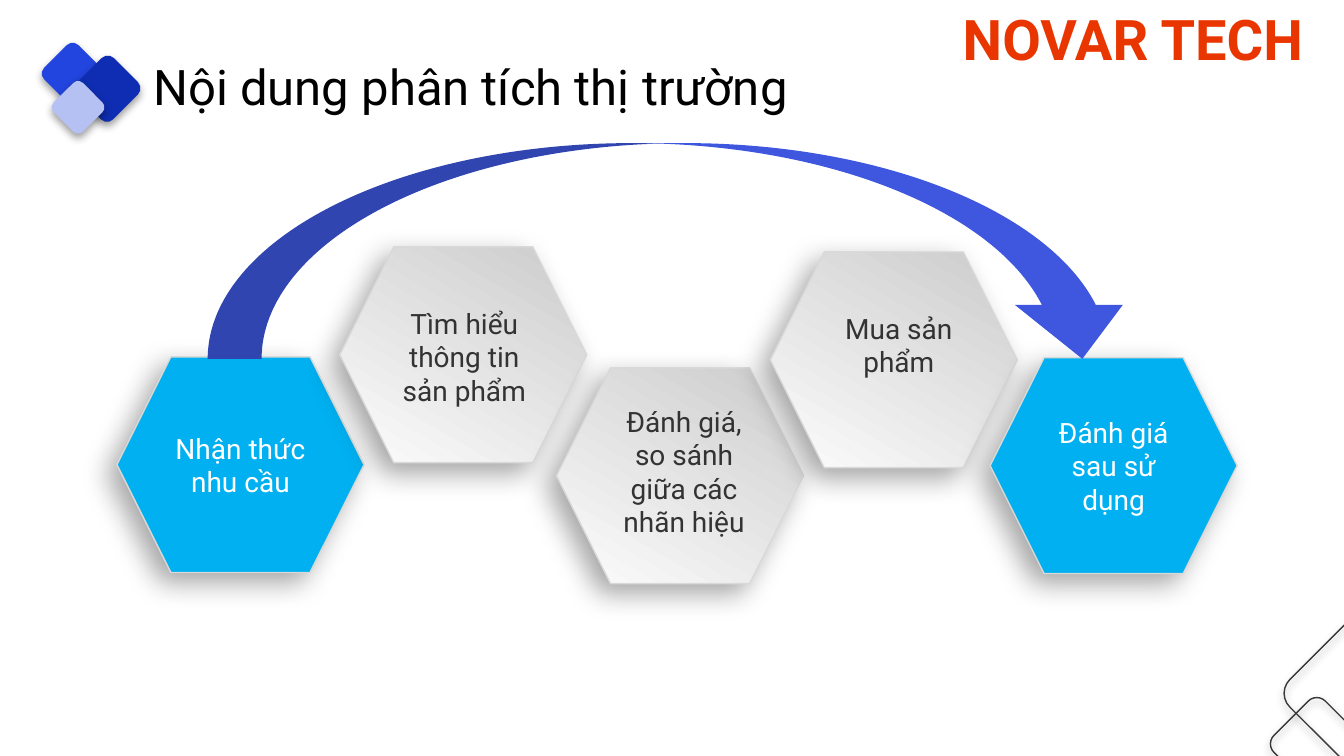
from lxml.etree import SubElement
from pptx import Presentation
from pptx.dml.color import RGBColor
from pptx.enum.shapes import MSO_SHAPE as SHAPE
from pptx.enum.text import MSO_ANCHOR as ANCHOR, MSO_AUTO_SIZE as AUTO, PP_ALIGN as ALIGN
from pptx.oxml.ns import qn
from pptx.util import Inches, Pt

WHITE = RGBColor(0xFF, 0xFF, 0xFF)
BLACK = RGBColor(0, 0, 0)
INK = RGBColor(0x33, 0x33, 0x33)
OUTLINE = RGBColor(0x39, 0x37, 0x37)
EDGE = RGBColor(0xD9, 0xD9, 0xD9)
SILVER = RGBColor(0xCC, 0xCC, 0xCC)
PALE = RGBColor(0xFC, 0xFC, 0xFC)
SKY = RGBColor(0x00, 0xB0, 0xF0)
ARROW_BLUE = RGBColor(0x3E, 0x57, 0xDE)
ROYAL = RGBColor(0x23, 0x45, 0xDF)
NAVY = RGBColor(0x0E, 0x2D, 0xB2)
LAVENDER = RGBColor(0xB5, 0xC1, 0xF2)
ORANGE = RGBColor(0xE9, 0x36, 0x01)

prs = Presentation()
prs.slide_width, prs.slide_height = Inches(13.33), Inches(7.5)
slide = prs.slides.add_slide(prs.slide_layouts[5])
shapes = slide.shapes


def add_figure(kind, box, fill, line, shadow):
    figure = shapes.add_shape(kind, *map(Inches, box))
    if fill == "silver":
        figure.fill.gradient()
        figure.fill.gradient_angle = 240
        for stop, color, position in zip(figure.fill.gradient_stops, (SILVER, PALE), (0, 1)):
            stop.color.rgb, stop.position = color, position
    elif fill:
        figure.fill.solid()
        figure.fill.fore_color.rgb = fill
    else:
        figure.fill.background()
    if line:
        figure.line.color.rgb = line
        figure.line.width = Pt(1)
    else:
        figure.line.fill.background()
    figure.shadow.inherit = False
    if shadow:
        alpha, blur, distance, angle = shadow
        effects = figure._element.spPr.find(qn("a:effectLst"))
        outer = SubElement(effects, qn("a:outerShdw"), blurRad=str(Pt(blur)), dist=str(Pt(distance)),
                           dir=str(angle * 60000), algn="ctr", rotWithShape="0")
        tint = SubElement(outer, qn("a:srgbClr"), val="000000")
        SubElement(tint, qn("a:alpha"), val=str(alpha * 1000))
    return figure


def write(frame, lines, size, color, align, bold=False):
    for number, line in enumerate(lines):
        paragraph = frame.add_paragraph() if number else frame.paragraphs[0]
        paragraph.alignment = align
        run = paragraph.add_run()
        run.text = line
        run.font.name, run.font.size, run.font.bold = "Roboto", Pt(size), bold
        run.font.color.rgb = color


soft_shadow = (39, 6, 3, 90)
for box, fill, line in [
    ((0.48, 0.49, 0.48, 0.48), ROYAL, None),
    ((0.81, 0.62, 0.51, 0.52), NAVY, None),
    ((0.57, 0.86, 0.41, 0.41), LAVENDER, None),
    ((12.7, 7.02, 0.72, 0.72), None, OUTLINE),
    ((12.9, 6.29, 1.16, 1.17), None, OUTLINE),
]:
    add_figure(SHAPE.ROUNDED_RECTANGLE, box, fill, line, soft_shadow).rotation = 45

company = shapes.add_textbox(*map(Inches, (9.45, 0, 3.89, 0.77))).text_frame
company.word_wrap = True
write(company, ["NOVAR TECH"], 40, ORANGE, ALIGN.LEFT, bold=True)

title = shapes.title
title.left, title.top, title.width, title.height = map(Inches, (1.42, 0.51, 9.62, 0.69))
title.text_frame.word_wrap = True
title.text_frame.auto_size = AUTO.NONE
title.text_frame.vertical_anchor = ANCHOR.TOP
write(title.text_frame, ["Nội dung phân tích thị trường"], 35, BLACK, ALIGN.LEFT)

steps = [
    (1.16, 3.54, ["Nhận thức nhu cầu"], None),
    (3.37, 2.45, ["Tìm hiểu thông tin sản phẩm"], (3.78, 2.99, 1.65, 1.11)),
    (5.52, 3.65, ["Đánh giá,", "so sánh", "giữa các", "nhãn hiệu"], (6, 3.96, 1.57, 1.45)),
    (7.64, 2.5, ["Mua sản", "phẩm"], (8.23, 3.04, 1.37, 0.77)),
    (9.82, 3.55, ["Đánh giá sau sử dụng"], None),
]
for left, top, lines, label_box in steps:
    fill = "silver" if label_box else SKY
    hexagon = add_figure(SHAPE.HEXAGON, (left, top, 2.45, 2.14), fill, EDGE, (34, 20, 10, 136))
    if label_box:
        label = shapes.add_textbox(*map(Inches, label_box)).text_frame
        label.word_wrap = len(lines) == 1
        write(label, lines, 20, INK, ALIGN.CENTER)
    else:
        hexagon.text_frame.vertical_anchor = ANCHOR.MIDDLE
        write(hexagon.text_frame, lines, 20, WHITE, ALIGN.CENTER)

add_figure(SHAPE.CURVED_DOWN_ARROW, (2.06, 1.42, 9.21, 2.14), ARROW_BLUE, None, None)

prs.save("out.pptx")
